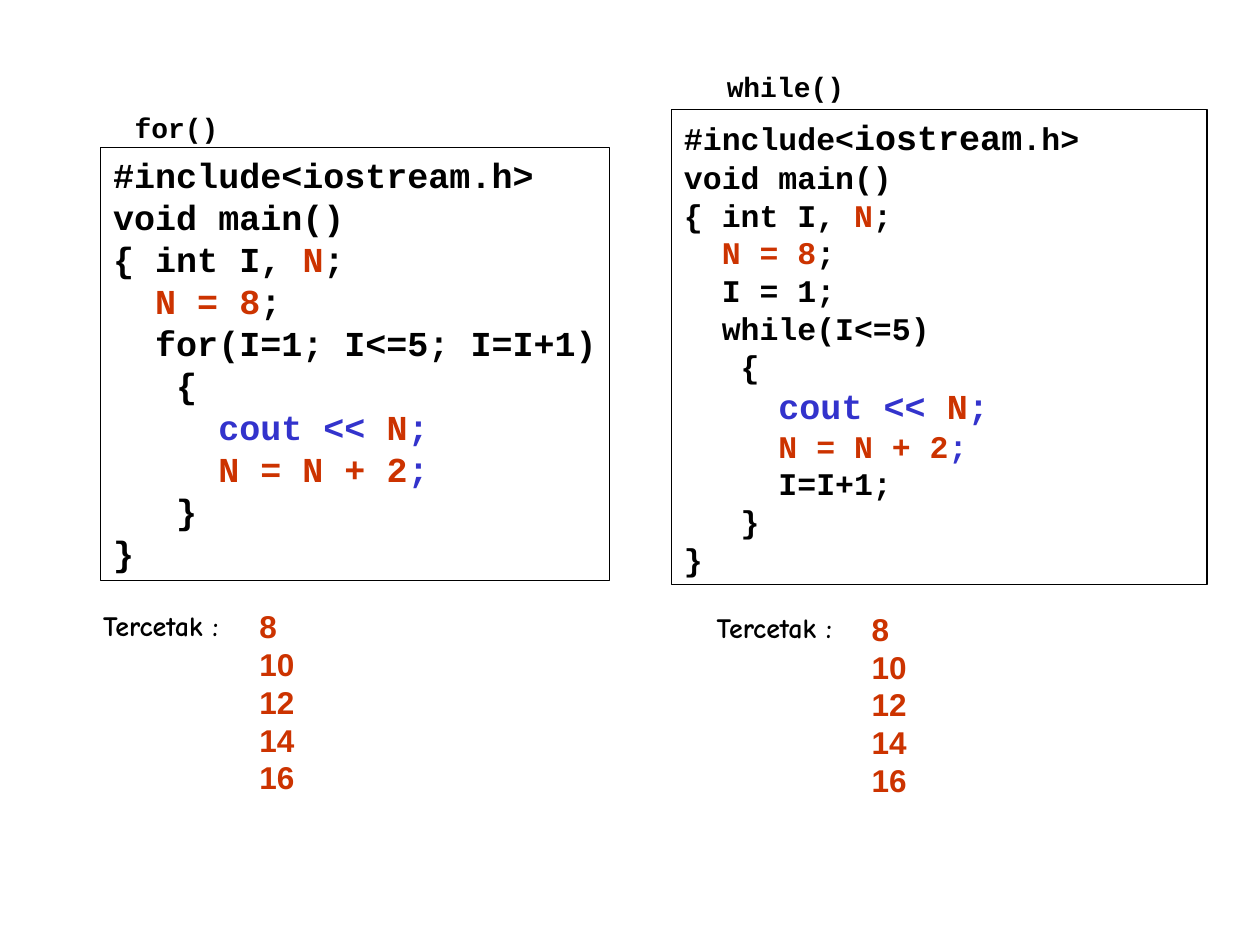
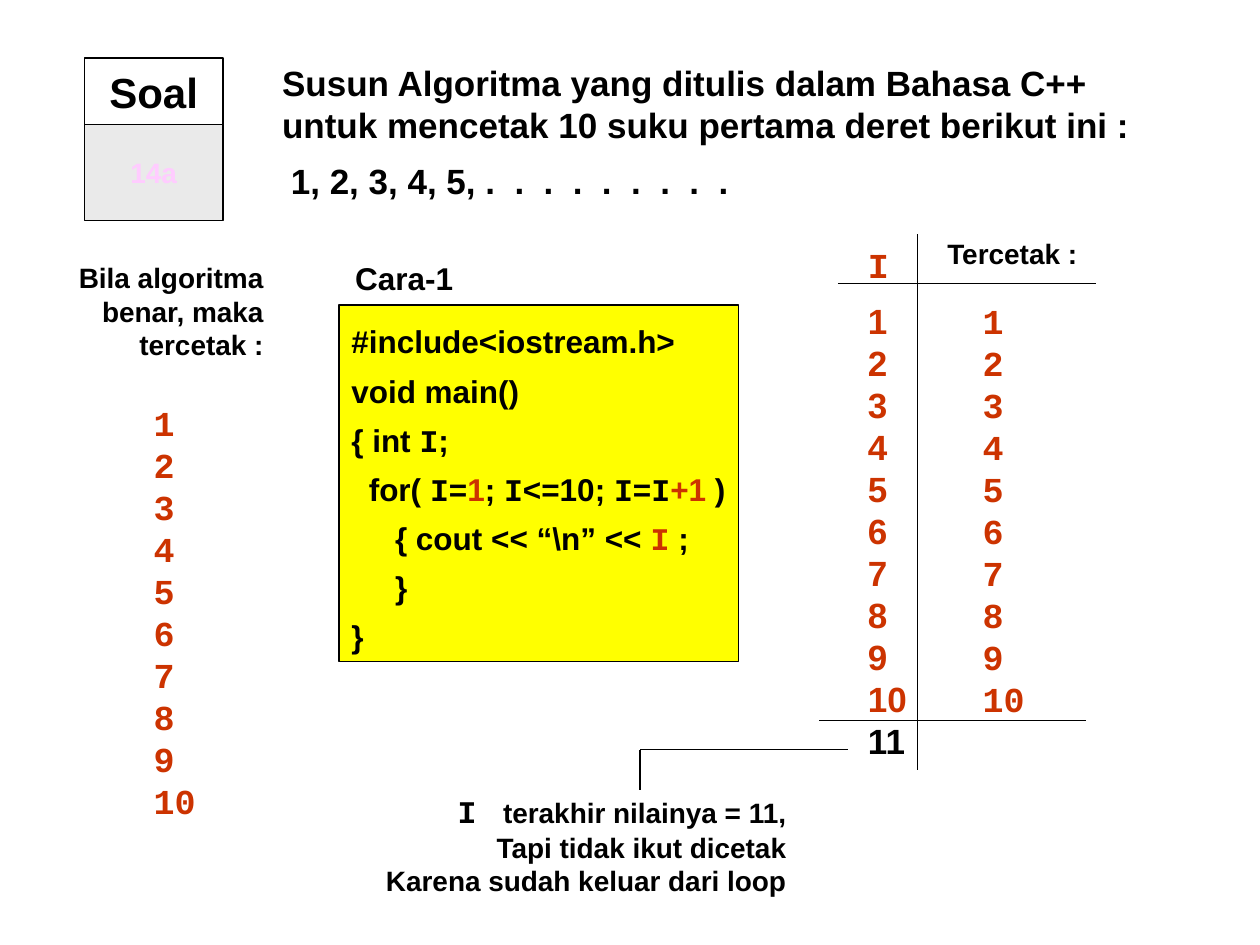
from dataclasses import dataclass
from typing import NamedTuple

import pptx
import pptx.dml.color
import pptx.enum.shapes
import pptx.enum.text
import pptx.oxml
import pptx.oxml.ns
import pptx.slide
import pptx.util

Inches = pptx.util.Inches
ALIGN = pptx.enum.text.PP_ALIGN
ANCHOR = pptx.enum.text.MSO_ANCHOR


@dataclass(frozen=True)
class Theme:
    black: str = "000000"
    red: str = "CC3300"
    blue: str = "3333CC"
    yellow: str = "FFFF00"
    grey: str = "EAEAEA"
    pink: str = "FFCCFF"
    sans: str = "Arial"
    mono: str = "Courier New"
    comic: str = "Comic Neue"
    label: int = 16
    body: int = 18
    large: int = 20
    badge: int = 24
    outline: float = 0.75


THEME = Theme()


class Ink(NamedTuple):
    text: str
    color: str | None = None
    font: str | None = None
    size: int | None = None


Line = tuple[Ink, ...]


class Box(NamedTuple):
    left: float
    top: float
    width: float
    height: float


class Rule(NamedTuple):
    x1: float
    y1: float
    x2: float
    y2: float


@dataclass(frozen=True)
class Block:
    box: Box
    lines: list[Line]
    size: int = THEME.large
    font: str = THEME.sans
    color: str = THEME.black
    framed: bool = False
    fill: str | None = None
    align: ALIGN = ALIGN.LEFT
    anchor: ANCHOR = ANCHOR.TOP
    spacing: float = 1.0
    wrap: bool = False
    grow: bool = True


def red(text: str, font: str | None = None) -> Ink:
    return Ink(text, THEME.red, font)


def blue(text: str, size: int | None = None) -> Ink:
    return Ink(text, THEME.blue, None, size)


def plain(*texts: str) -> list[Line]:
    return [(Ink(text),) for text in texts]


def numbers(first: int, last: int, step: int = 1) -> list[Line]:
    return plain(*(str(n) for n in range(first, last + 1, step)))


def rgb(color: str) -> pptx.dml.color.RGBColor:
    return pptx.dml.color.RGBColor.from_string(color)


def draw_block(slide: pptx.slide.Slide, block: Block) -> None:
    place = [Inches(length) for length in block.box]
    if block.framed:
        holder = slide.shapes.add_shape(pptx.enum.shapes.MSO_SHAPE.RECTANGLE, *place)
        holder.shadow.inherit = False
        holder.line.color.rgb = rgb(THEME.black)
        holder.line.width = pptx.util.Pt(THEME.outline)
        if block.fill:
            holder.fill.solid()
            holder.fill.fore_color.rgb = rgb(block.fill)
        else:
            holder.fill.background()
    else:
        holder = slide.shapes.add_textbox(*place)

    frame = holder.text_frame
    frame.word_wrap = block.wrap
    frame.vertical_anchor = block.anchor
    if block.grow:
        frame.auto_size = pptx.enum.text.MSO_AUTO_SIZE.SHAPE_TO_FIT_TEXT
    for index, line in enumerate(block.lines):
        paragraph = frame.add_paragraph() if index else frame.paragraphs[0]
        paragraph.alignment = block.align
        paragraph.line_spacing = block.spacing
        for ink in line:
            run = paragraph.add_run()
            run.text = ink.text
            run.font.bold = True
            run.font.name = ink.font or block.font
            run.font.size = pptx.util.Pt(ink.size or block.size)
            run.font.color.rgb = rgb(ink.color or block.color)


def draw_rule(slide: pptx.slide.Slide, rule: Rule) -> None:
    connector = slide.shapes.add_connector(
        pptx.enum.shapes.MSO_CONNECTOR.STRAIGHT, *(Inches(length) for length in rule))
    connector.line.color.rgb = rgb(THEME.black)
    connector.line.width = pptx.util.Pt(THEME.outline)
    properties = connector._element.spPr
    properties.append(pptx.oxml.parse_xml(
        f'<a:effectLst {pptx.oxml.ns.nsdecls("a")}/>'))


def loop_blocks(name: Box, name_text: str, code: Block, printed: Box, values: Box) -> list[Block]:
    return [
        code,
        Block(name, plain(name_text), THEME.label, THEME.mono),
        Block(printed, plain("Tercetak :"), THEME.label, THEME.comic),
        Block(values, numbers(8, 16, 2), THEME.body, color=THEME.red),
    ]


def counted_to_ten(left: float, top: float) -> Block:
    return Block(Box(left, top, 0.58, 3.44), numbers(1, 10),
                 font=THEME.mono, color=THEME.red)


DECLARE_N: list[Line] = [
    (Ink("{ int I, "), red("N"), Ink(";")),
    (Ink("  "), red("N = 8"), Ink(";")),
]
PRINT_N: Line = (
    Ink("     "),
    blue("cout << ", THEME.large),
    Ink("N", THEME.red, None, THEME.large),
    blue(";", THEME.large),
)
ADD_TWO: Line = (Ink("     "), red("N = N + 2"), blue(";"))

FOR_CODE = (
    plain("#include<iostream.h>", "void main()")
    + DECLARE_N
    + plain("  for(I=1; I<=5; I=I+1)", "   {")
    + [PRINT_N, ADD_TWO]
    + plain("   }", "}")
)
WHILE_CODE = (
    [(Ink("#include<"), Ink("iostream", size=THEME.large), Ink(".h>"))]
    + plain("void main()")
    + DECLARE_N
    + plain("  I = 1;", "  while(I<=5)", "   {")
    + [PRINT_N, ADD_TWO]
    + plain("     I=I+1;", "   }", "}")
)

LOOPS = loop_blocks(
    Box(0.97, 0.83, 0.92, 0.37), "for()",
    Block(Box(0.8, 1.17, 4.04, 3.44), FOR_CODE, THEME.large, THEME.mono, framed=True),
    Box(0.72, 4.78, 1.14, 0.37), Box(1.96, 4.77, 0.48, 1.6),
) + loop_blocks(
    Box(5.67, 0.5, 1.13, 0.37), "while()",
    Block(Box(5.33, 0.87, 4.25, 3.77), WHILE_CODE, THEME.body, THEME.mono,
          framed=True, wrap=True),
    Box(5.59, 4.8, 1.14, 0.37), Box(6.82, 4.79, 0.48, 1.6),
)

I = Ink("I", font=THEME.mono)
COUNT_CODE: list[Line] = (
    plain("#include<iostream.h>", "void main()")
    + [
        (Ink("{ int "), I, Ink(";")),
        (Ink("  for( "), I, Ink("="), red("1"), Ink("; "), I, Ink("<=10; "),
         I, Ink("="), I, red("+1"), Ink(" )")),
        (Ink(r"     { cout << “\n” << "), red("I", THEME.mono), Ink(" ;")),
    ]
    + plain("     }", "}")
)
LAST_I_NOTE: list[Line] = [
    (Ink("I ", font=THEME.mono, size=THEME.body), Ink(" terakhir nilainya = 11,")),
] + plain("Tapi tidak ikut dicetak", "Karena sudah keluar dari loop")

EXERCISE = [
    Block(Box(0.67, 0.46, 1.1, 0.53), plain("Soal"), THEME.badge, framed=True,
          align=ALIGN.CENTER, anchor=ANCHOR.MIDDLE, grow=False),
    Block(Box(0.67, 0.99, 1.1, 0.76), plain("14a"), THEME.label, color=THEME.pink,
          framed=True, fill=THEME.grey, align=ALIGN.CENTER, anchor=ANCHOR.MIDDLE, grow=False),
    Block(Box(2.14, 0.44, 7.11, 0.77),
          plain("Susun Algoritma yang ditulis dalam Bahasa C++ "
                "untuk mencetak 10 suku pertama deret berikut ini :"), wrap=True),
    Block(Box(2.21, 1.22, 3.68, 0.44), plain("1, 2, 3, 4, 5, .  .  .  .  .  .  .  .  .")),
    Block(Box(2.69, 2.42, 3.17, 2.83), COUNT_CODE, THEME.body, framed=True,
          fill=THEME.yellow, spacing=1.3),
    Block(Box(0.12, 2.02, 2.07, 0.9), plain("Bila algoritma benar, maka tercetak :"),
          THEME.label, align=ALIGN.RIGHT, wrap=True),
    counted_to_ten(1.12, 3.14),
    Block(Box(2.72, 2.01, 0.98, 0.4), plain("Cara-1"), THEME.body),
    Block(Box(6.79, 1.88, 0.36, 0.44), plain("I"), font=THEME.mono, color=THEME.red),
    Block(Box(6.79, 2.33, 0.51, 3.77), numbers(1, 10) + [(Ink("11", THEME.black),)],
          color=THEME.red),
    Block(Box(7.42, 1.83, 1.24, 0.37), plain("Tercetak :"), THEME.label),
    counted_to_ten(7.7, 2.33),
    Block(Box(2.96, 6.24, 3.38, 0.94), LAST_I_NOTE, THEME.label, align=ALIGN.RIGHT),
]
TRACE_RULES = [
    Rule(6.65, 2.25, 8.7, 2.25),
    Rule(7.28, 1.86, 7.28, 6.11),
    Rule(6.5, 5.72, 8.62, 5.72),
    Rule(5.08, 5.95, 6.73, 5.95),
    Rule(5.08, 5.95, 5.08, 6.27),
]


def main() -> None:
    deck = pptx.Presentation()
    deck.slide_width, deck.slide_height = Inches(10), Inches(7.5)
    for blocks, rules in ((LOOPS, []), (EXERCISE, TRACE_RULES)):
        slide = deck.slides.add_slide(deck.slide_layouts[6])
        for block in blocks:
            draw_block(slide, block)
        for rule in rules:
            draw_rule(slide, rule)
    deck.save("out.pptx")


if __name__ == "__main__":
    main()
